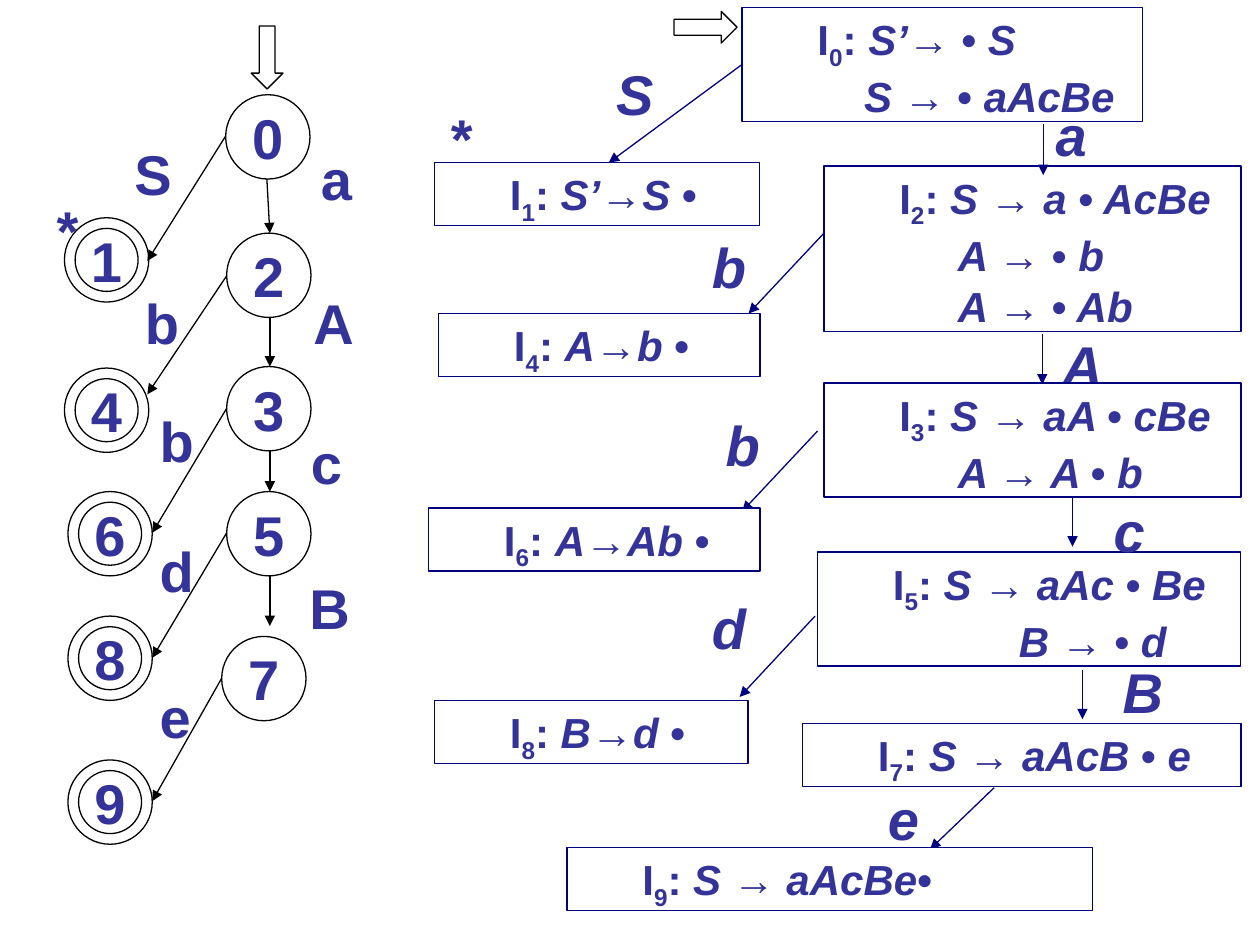
import pptx
import pptx.dml.color
import pptx.enum.shapes
import pptx.enum.text
import pptx.oxml
import pptx.oxml.ns
import pptx.util
from pptx.util import Cm

COLORS = {"text": "333399", "item": "000080", "state": "000000", "fill": "FFFFFF"}
SHAPE = pptx.enum.shapes.MSO_SHAPE
DIAMETER, INNER = 1.7, 1.27
ITEM_HEIGHT, LINE_HEIGHT, ITEM_INDENT = 1.27, 1.03, 1.27

# number: (left, top, width, lines, indent of the following lines)
ITEMS = {
    0: (14.96, 0.15, 8.08, ["S’→ • S", "S → • aAcBe"], 2.21),
    1: (8.76, 3.28, 6.55, ["S’→S •"], 0),
    2: (16.61, 3.35, 8.41, ["S → a • AcBe", "A → • b", "A → • Ab"], 2.45),
    3: (16.61, 7.72, 8.41, ["S → aA • cBe", "A → A • b"], 2.45),
    4: (8.84, 6.32, 6.48, ["A→b •"], 0),
    5: (16.48, 11.13, 8.53, ["S → aAc • Be", "B → • d"], 3.81),
    6: (8.64, 10.24, 6.68, ["A→Ab •"], 0),
    7: (16.18, 14.58, 8.84, ["S → aAcB • e"], 0),
    8: (8.76, 14.12, 6.32, ["B→d •"], 0),
    9: (11.43, 17.09, 10.59, ["S → aAcBe•"], 0),
}
ITEM_EDGES = [
    ("S", (14.96, 1.3), (12.27, 3.28), (12.17, 1.07, 1.27)),
    ("a", (21.03, 2.51), (21.03, 3.53), (21.03, 1.91, 1.14)),
    ("A", (21.01, 6.73), (21.01, 7.75), (21.16, 6.53, 1.35)),
    ("c", (21.62, 10.03), (21.62, 11.02), (22.2, 9.88, 1.14)),
    ("B", (21.82, 13.51), (21.82, 14.5), (22.38, 13.13, 1.35)),
    ("b", (16.61, 4.7), (15.09, 6.32), (14.1, 4.57, 1.22)),
    ("b", (16.48, 8.69), (14.96, 10.31), (14.38, 8.15, 1.22)),
    ("d", (16.43, 12.42), (14.91, 14.05), (14.1, 11.84, 1.22)),
    ("e", (20.04, 15.88), (18.75, 17.12), (17.65, 15.7, 1.4)),
]
STATES = {0: (4.55, 1.91), 2: (4.57, 4.7), 3: (4.57, 7.39), 5: (4.57, 9.91), 7: (4.47, 12.83)}
FINAL_STATES = {1: (1.3, 4.39), 4: (1.3, 7.42), 6: (1.37, 9.91), 8: (1.37, 12.42), 9: (1.37, 15.32)}
STATE_EDGES = [
    ("a", (5.38, 3.61), (5.44, 4.7), (6.22, 2.79, 1.7)),
    ("A", (5.44, 6.4), (5.44, 7.39), (6.07, 5.69, 1.7)),
    ("c", (5.44, 9.07), (5.44, 9.91), (6.02, 8.51, 1.7)),
    ("B", (5.44, 11.61), (5.44, 12.62), (5.99, 11.43, 1.27)),
    ("S", (4.55, 2.74), (2.97, 5.26), (2.46, 2.69, 1.7)),
    ("b", (4.57, 5.56), (2.97, 7.95), (2.67, 5.69, 1.7)),
    ("b", (4.57, 8.23), (3.07, 10.74), (2.97, 8.08, 1.7)),
    ("d", (4.57, 10.74), (3.07, 13.26), (2.97, 10.69, 1.7)),
    ("e", (4.47, 13.67), (3.07, 16.15), (2.97, 13.64, 1.7)),
]


class Automaton:
    """Draws the parts of an LR(0) automaton on one slide."""

    font = "Arial"
    item_size = 24
    label_size = 32
    line_width = 0.75

    def __init__(self, slide):
        self.shapes = slide.shapes

    def color(self, name):
        return pptx.dml.color.RGBColor.from_string(COLORS[name])

    def format_run(self, r, size, italic=False):
        r.font.name = self.font
        r.font.size = pptx.util.Pt(size)
        r.font.bold = True
        r.font.italic = italic
        r.font.color.rgb = self.color("text")

    def outline(self, s, line):
        s.line.color.rgb = self.color(line)
        s.line.width = pptx.util.Pt(self.line_width)

    def shape(self, kind, left, top, width, height, line="state", parent=None):
        sp = (parent or self.shapes).add_shape(kind, Cm(left), Cm(top), Cm(width), Cm(height))
        sp.shadow.inherit = False
        sp.fill.solid()
        sp.fill.fore_color.rgb = self.color("fill")
        self.outline(sp, line)
        return sp

    def item(self, number):
        left, top, width, lines, indent = ITEMS[number]
        height = ITEM_HEIGHT + LINE_HEIGHT * (len(lines) - 1)
        sp = self.shape(SHAPE.RECTANGLE, left, top, width, height, "item")
        tf = sp.text_frame
        tf.word_wrap = True
        tf.vertical_anchor = pptx.enum.text.MSO_ANCHOR.TOP
        for i, line in enumerate(lines):
            p = tf.add_paragraph() if i else tf.paragraphs[0]
            p.alignment = pptx.enum.text.PP_ALIGN.LEFT
            p.level = 1
            pPr = p._p.get_or_add_pPr()
            pPr.set("marL", str(Cm(indent if i else ITEM_INDENT)))
            pPr.set("indent", "0")
            before, dot, after = line.partition("•")
            pieces = [(before, True), (dot, False), (after, True)]
            if i == 0:
                pieces = [("I", False), (str(number), False), (": ", False)] + pieces
            for text, italic in pieces:
                if text:
                    r = p.add_run()
                    r.text = text
                    self.format_run(r, self.item_size, italic)
            if i == 0:
                p.runs[1].font._element.set("baseline", "-25000")
        return sp

    def label(self, text, left, top, width, italic=False):
        s = self.shapes.add_textbox(Cm(left), Cm(top), Cm(width), Cm(1.63))
        tf = s.text_frame
        tf.word_wrap = True
        tf.text = text
        self.format_run(tf.paragraphs[0].runs[0], self.label_size, italic)

    def arrow(self, start, end, line, source=None):
        s = self.shapes.add_connector(
            pptx.enum.shapes.MSO_CONNECTOR.STRAIGHT, *map(Cm, start + end))
        if source is not None:
            s.begin_connect(source, 1)
        self.outline(s, line)
        tail = pptx.oxml.parse_xml(
            f'<a:tailEnd {pptx.oxml.ns.nsdecls("a")} type="triangle"/>')
        s.line._get_or_add_ln().append(tail)
        s._element.spPr.append(
            pptx.oxml.parse_xml(f'<a:effectLst {pptx.oxml.ns.nsdecls("a")}/>'))

    def state(self, number, left, top, size=DIAMETER, parent=None):
        sp = self.shape(SHAPE.OVAL, left, top, size, size, parent=parent)
        tf = sp.text_frame
        tf.word_wrap = False
        tf.vertical_anchor = pptx.enum.text.MSO_ANCHOR.MIDDLE
        tf.text = str(number)
        p = tf.paragraphs[0]
        p.alignment = pptx.enum.text.PP_ALIGN.CENTER
        self.format_run(p.runs[0], self.label_size)

    def final_state(self, number, left, top):
        group = self.shapes.add_group_shape().shapes
        self.shape(SHAPE.OVAL, left, top, DIAMETER, DIAMETER, parent=group)
        inset = (DIAMETER - INNER) / 2
        self.state(number, left + inset, top + inset, INNER, group)

    def start_arrow(self, left, top, rotation=0):
        self.shape(SHAPE.RIGHT_ARROW, left, top, 1.27, 0.64).rotation = rotation


def main():
    prs = pptx.Presentation()
    prs.slide_width, prs.slide_height = Cm(25.4), Cm(19.05)
    diagram = Automaton(prs.slides.add_slide(prs.slide_layouts[6]))

    items = {n: diagram.item(n) for n in (0, 1, 2, 4, 5, 7, 8)}
    for text, start, end, place in ITEM_EDGES:
        diagram.arrow(start, end, "item", items[0] if text == "S" else None)
        diagram.label(text, *place, italic=True)
    for n in (3, 6, 9):
        diagram.item(n)
    diagram.label("*", 8.84, 1.96, 1.19)
    diagram.start_arrow(13.59, 0.23)

    for n, place in STATES.items():
        diagram.state(n, *place)
    for n, place in FINAL_STATES.items():
        diagram.final_state(n, *place)
    for text, start, end, place in STATE_EDGES:
        diagram.arrow(start, end, "state")
        diagram.label(text, *place)
    diagram.label("*", 0.89, 3.81, 1.19)
    diagram.start_arrow(4.75, 0.84, 90)

    prs.save("out.pptx")


if __name__ == "__main__":
    main()
